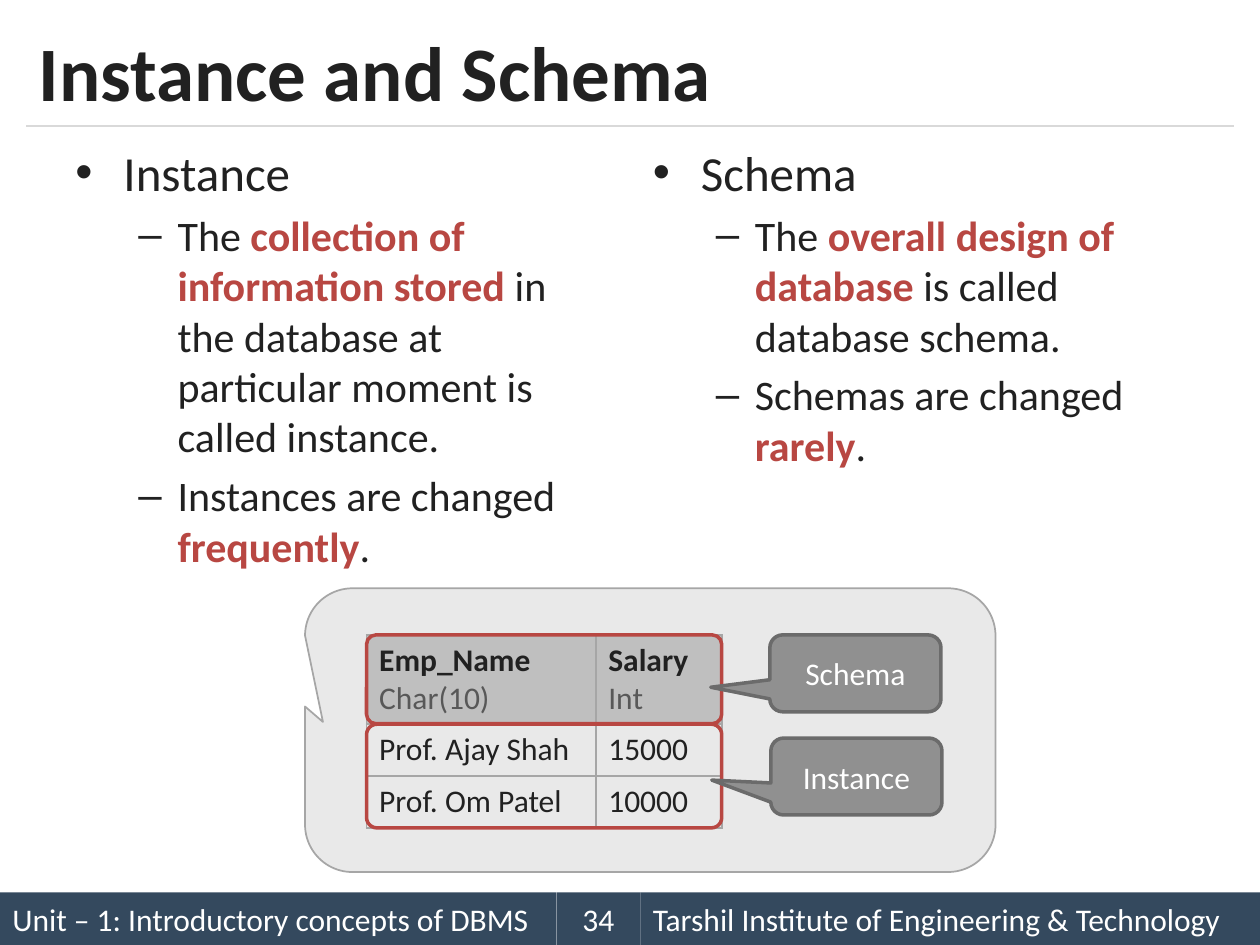
from dataclasses import dataclass

from lxml.etree import SubElement
from pptx import Presentation
from pptx.dml.color import RGBColor
from pptx.enum.shapes import MSO_CONNECTOR, MSO_SHAPE
from pptx.enum.text import MSO_ANCHOR, MSO_AUTO_SIZE, PP_ALIGN
from pptx.oxml import parse_xml
from pptx.oxml.ns import nsdecls, qn
from pptx.util import Cm, Pt


@dataclass(frozen=True)
class Theme:
    font: str = "Calibri"
    text: str = "212121"
    muted: str = "585858"
    accent: str = "B84742"
    white: str = "FFFFFF"
    footer: str = "34495E"
    rule: str = "D9D9D9"
    panel: str = "E9E9E9"
    border: str = "A6A6A6"
    header: str = "BFBFBF"
    label: str = "909090"
    label_edge: str = "6B6B6B"
    title_size: int = 44
    topic_size: int = 28
    point_size: int = 24
    small_size: int = 18


theme = Theme()


def style(font, size, color, bold=False):
    font.name, font.size, font.bold = theme.font, Pt(size), bold
    font.color.rgb = RGBColor.from_string(color)


def add_block(kind, box, fill=None, edge=None, width=1, adjust=(), text="", align=PP_ALIGN.CENTER):
    block = slide.shapes.add_shape(kind, *map(Cm, box))
    block.shadow.inherit = False
    for index, value in enumerate(adjust):
        block.adjustments[index] = value
    if fill:
        block.fill.solid()
        block.fill.fore_color.rgb = RGBColor.from_string(fill)
    else:
        block.fill.background()
    if edge:
        block.line.color.rgb = RGBColor.from_string(edge)
        block.line.width = Pt(width)
    else:
        block.line.fill.background()
    if text:
        block.text_frame.vertical_anchor = MSO_ANCHOR.MIDDLE
        paragraph = block.text_frame.paragraphs[0]
        paragraph.text, paragraph.alignment = text, align
        style(paragraph.font, theme.small_size, theme.white)


deck = Presentation()
deck.slide_width, deck.slide_height = Cm(25.4), Cm(19.05)
slide = deck.slides.add_slide(deck.slide_layouts[5])

# Title and the rule below it
title = slide.shapes.title
title.left, title.top, title.width, title.height = Cm(0.53), Cm(0.3), Cm(24.33), Cm(2.24)
title.text_frame.auto_size = MSO_AUTO_SIZE.NONE
title.text_frame.vertical_anchor = MSO_ANCHOR.MIDDLE
heading = title.text_frame.paragraphs[0]
heading.text, heading.alignment = "Instance and Schema", PP_ALIGN.LEFT
style(heading.font, theme.title_size, theme.text, True)

rule = slide.shapes.add_connector(MSO_CONNECTOR.STRAIGHT, Cm(0.53), Cm(2.54), Cm(24.87), Cm(2.54))
rule.line.color.rgb = RGBColor.from_string(theme.rule)
rule.line.width = Pt(0.75)
SubElement(rule._element.spPr, qn("a:effectLst"))

# Footer bar
footer_parts = [
    (0, 11.22, "Unit – 1: Introductory concepts of DBMS", PP_ALIGN.LEFT),
    (12.91, 12.49, "Tarshil Institute of Engineering & Technology", PP_ALIGN.LEFT),
    (11.22, 1.69, "34", PP_ALIGN.CENTER),
]
for left, width, text, align in footer_parts:
    add_block(MSO_SHAPE.RECTANGLE, (left, 17.99, width, 1.06), theme.footer, text=text, align=align)

# Two definition columns: each point is plain text, emphasised text, plain text
columns = [
    (1.27, 9.09, "Instance", [
        ("The ", "collection of information stored ",
         "in the database at particular moment is called instance."),
        ("Instances are changed ", "frequently", "."),
    ]),
    (12.91, 7.42, "Schema", [
        ("The ", "overall design of database ", "is called database schema."),
        ("Schemas are changed ", "rarely", "."),
    ]),
]
for left, height, topic, points in columns:
    definition = slide.shapes.add_textbox(Cm(left), Cm(2.74), Cm(11.22), Cm(height)).text_frame
    definition.word_wrap = True
    for level, parts in enumerate([(topic,), *points]):
        is_topic = level == 0
        paragraph = definition.paragraphs[0] if is_topic else definition.add_paragraph()
        paragraph.level = 0 if is_topic else 1
        paragraph.space_before = Pt(0 if is_topic else 4.8)
        margin, hang, bullet = (0.97, 0.97, "•") if is_topic else (2.06, 0.79, "–")
        properties = paragraph._p.get_or_add_pPr()
        properties.set("marL", str(Cm(margin)))
        properties.set("indent", str(-Cm(hang)))
        SubElement(properties, qn("a:buFont")).set("typeface", "Arial")
        SubElement(properties, qn("a:buChar")).set("char", bullet)
        size = theme.topic_size if is_topic else theme.point_size
        for position, part in enumerate(parts):
            run = paragraph.add_run()
            run.text = part
            emphasised = position == 1
            style(run.font, size, theme.accent if emphasised else theme.text, emphasised)

# Panel behind the example
add_block(MSO_SHAPE.ROUNDED_RECTANGULAR_CALLOUT, (6.15, 11.86, 13.92, 5.72),
          theme.panel, theme.border, 1, (-0.474, -0.029, 0.167))

# Example relation: header with column types, then one strip per record
strips = [
    (12.8, 1.79, theme.header, ["Emp_Name\nChar(10)", "Salary\nInt"]),
    (14.6, 1.04, None, ["Prof. Ajay Shah", "15000"]),
    (15.65, 1.04, None, ["Prof. Om Patel", "10000"]),
]
for top, height, fill, values in strips:
    strip = slide.shapes.add_table(1, 2, Cm(7.39), Cm(top), Cm(7.16), Cm(height)).table
    strip.first_row = strip.horz_banding = False
    for column, width, value in zip(strip.columns, (4.62, 2.54), values):
        column.width = Cm(width)
    for cell, value in zip(strip.rows[0].cells, values):
        cell.text = value
        for line, paragraph in enumerate(cell.text_frame.paragraphs):
            style(paragraph.font, theme.small_size, theme.muted if line else theme.text,
                  bool(fill) and line == 0)
        cell_properties = cell._tc.get_or_add_tcPr()
        for side in ("lnL", "lnR", "lnT", "lnB"):
            cell_properties.append(parse_xml(
                f'<a:{side} {nsdecls("a")} w="{Pt(1)}"><a:solidFill>'
                f'<a:srgbClr val="{theme.border}"/></a:solidFill></a:{side}>'))
        if fill:
            cell.fill.solid()
            cell.fill.fore_color.rgb = RGBColor.from_string(fill)
        else:
            cell.fill.background()

# Outlines around schema and instance, each with its label
marks = [
    ("Schema", 12.8, 1.79, 0.106, (15.52, 12.8), 0.181),
    ("Instance", 14.6, 2.09, 0.1, (15.54, 14.88), 0.047),
]
for name, top, height, corner, label_at, tip in marks:
    add_block(MSO_SHAPE.ROUNDED_RECTANGLE, (7.39, top, 7.16, height),
              edge=theme.accent, width=2, adjust=(corner,))
    add_block(MSO_SHAPE.ROUNDED_RECTANGULAR_CALLOUT, (*label_at, 3.45, 1.55), theme.label,
              theme.label_edge, 2, (-0.845, tip, 0.167), name)

deck.save("out.pptx")
